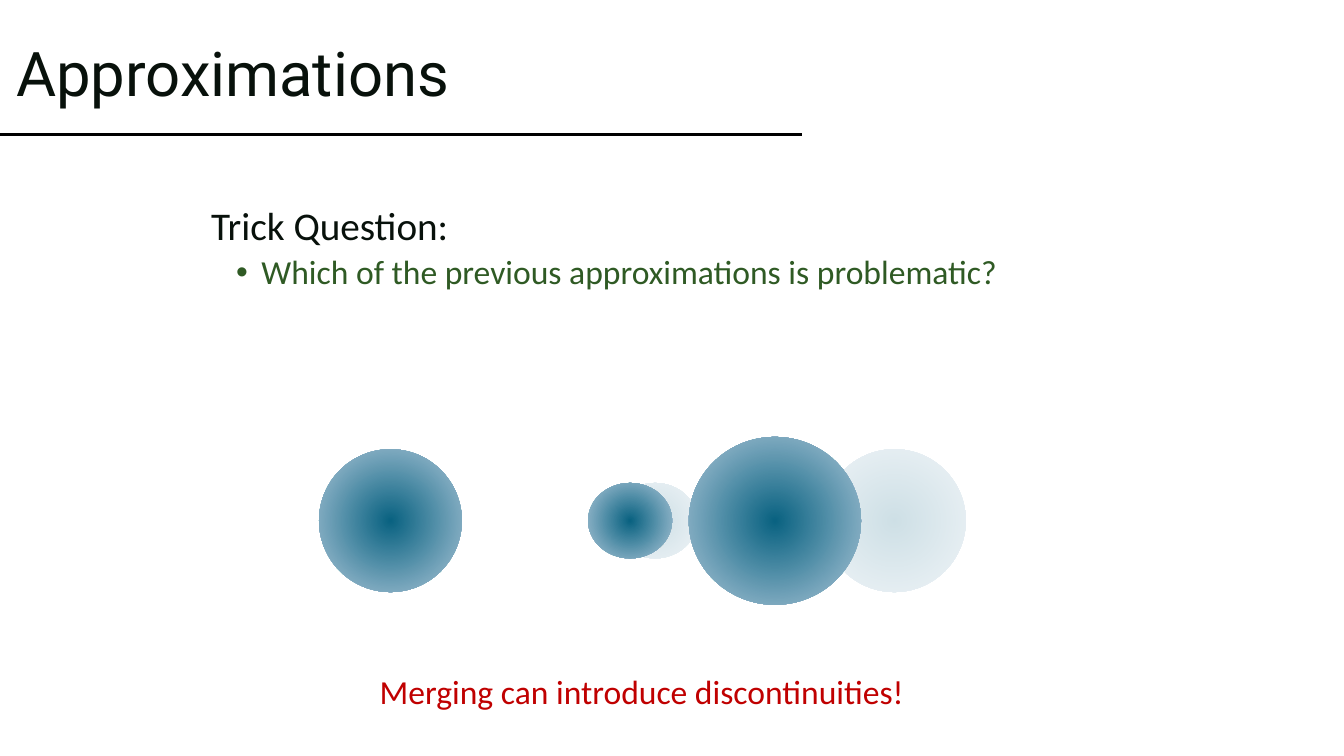
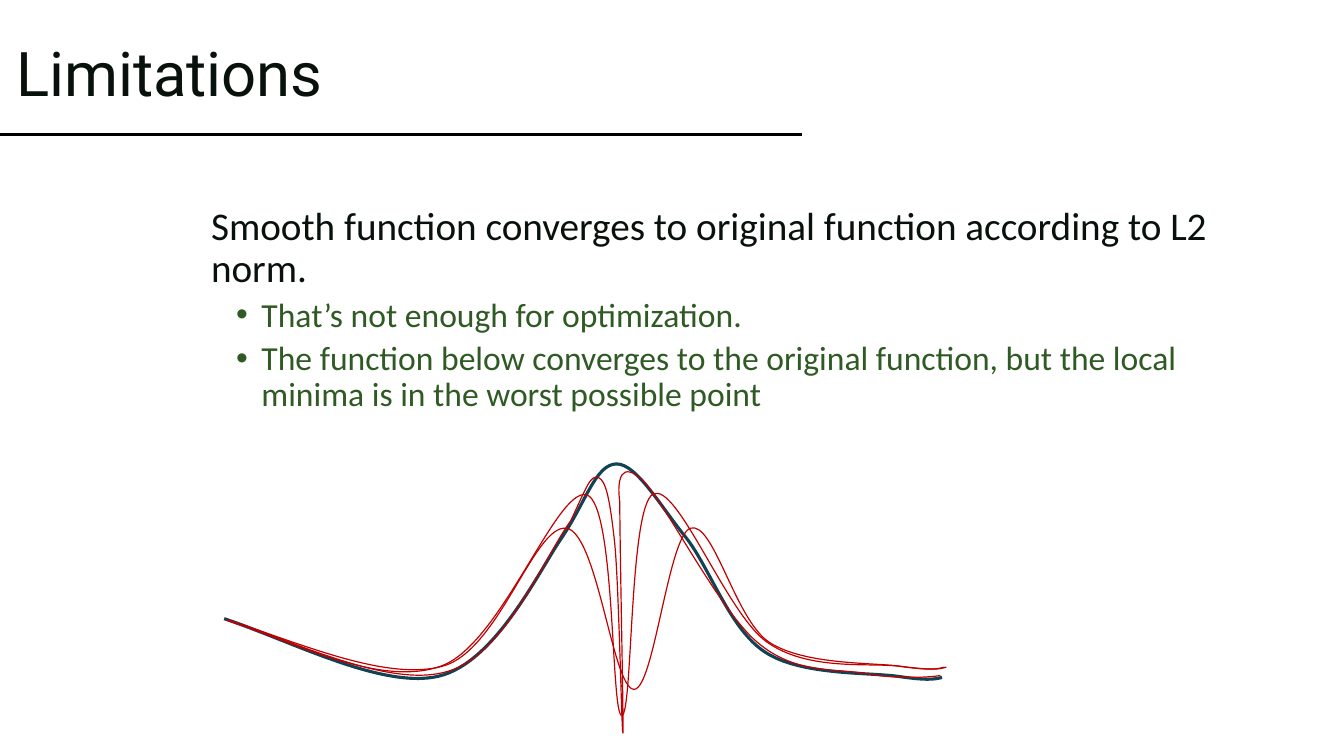
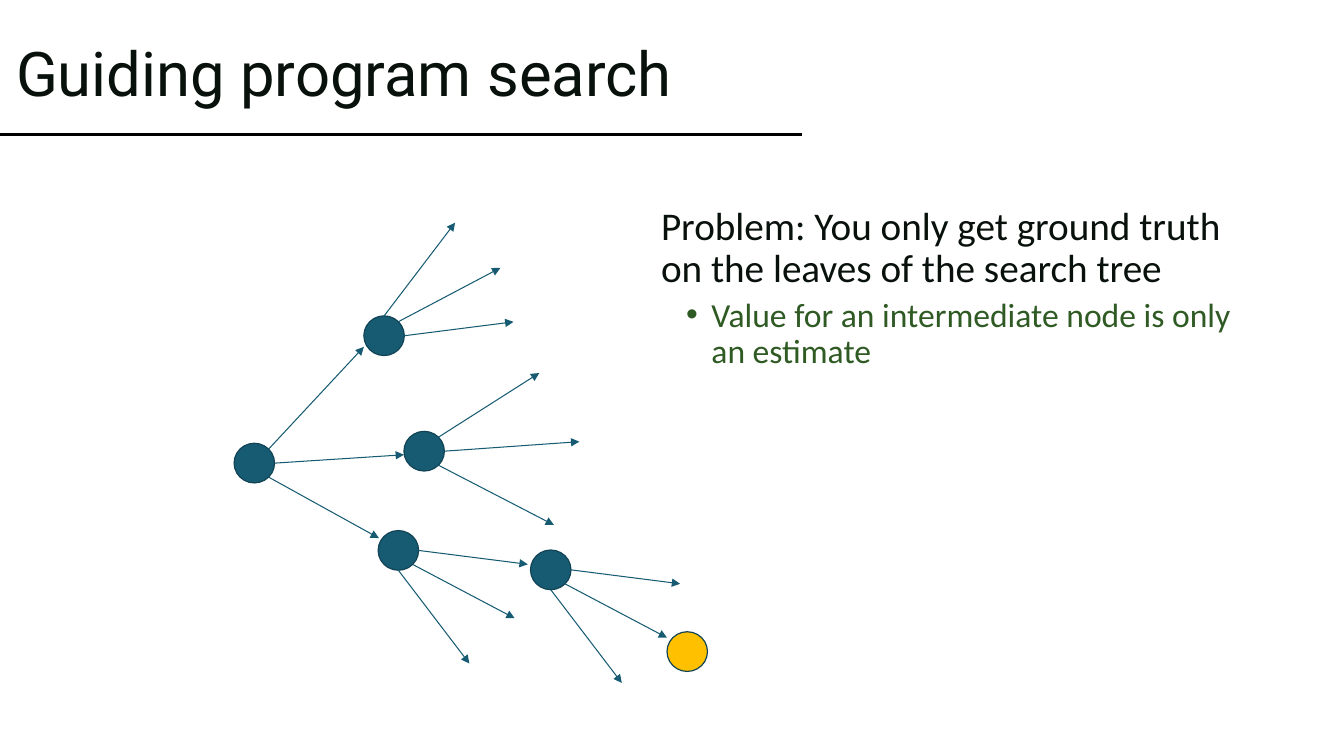
from math import cos, radians, sin

from lxml.etree import SubElement
from pptx import Presentation
from pptx.dml.color import RGBColor
from pptx.enum.shapes import MSO_CONNECTOR as Connector, MSO_SHAPE as Shape
from pptx.enum.text import MSO_ANCHOR as Anchor, MSO_AUTO_SIZE as AutoSize, PP_ALIGN as Align
from pptx.oxml.ns import qn
from pptx.util import Cm, Pt

COLORS = {
    "title": "08110B", "bullet": "2F5A24", "alert": "C00000", "rule": "000000",
    "veil": "FFFFFF", "glow_center": "096281", "glow_edge": "AEC7D9",
    "node": "175B73", "outline": "114355", "goal": "FFC000",
}
TITLE_FONT, BODY_FONT = "Roboto", "Calibri"
TITLE_ONLY = 5

NODE_WIDTH, NODE_HEIGHT = 1.02, 1.0

# Arrows of a node: start angle on its rim (clockwise), end relative to its centre
ROOT_ARROWS = [(-45, 2.76, -2.93), (0, 3.77, -0.21), (45, 3.14, 1.89)]
MIDDLE_ARROWS = [(-45, 2.9, -1.97), (0, 3.91, -0.24), (45, 3.27, 1.86)]
DOWN_ARROWS = [(0, 3.26, 0.35), (45, 2.93, 1.71), (90, 1.79, 2.85)]
UP_ARROWS = [(-angle, x, -y) for angle, x, y in DOWN_ARROWS]

# Bezier curves: a start point, then two control points and an end per segment
ORIGINAL_CURVE = [
    (5.65, 15.59),
    (7.34, 16.15), (9.63, 17.37), (11.05, 17.04),
    (12.47, 16.71), (13.56, 14.43), (14.15, 13.56),
    (14.76, 12.67), (15.01, 11.69), (15.54, 11.69),
    (16.05, 11.69), (16.66, 12.78), (17.3, 13.56),
    (17.91, 14.35), (18.39, 15.85), (19.28, 16.43),
    (20.17, 17.02), (21.87, 16.94), (22.61, 17.04),
    (23.34, 17.15), (23.55, 17.12), (23.74, 17.07),
]
SMOOTH_CURVES = [
    [
        (5.74, 15.62),
        (7.57, 16.21), (9.73, 17.17), (11.15, 16.79),
        (12.57, 16.41), (13.46, 13.21), (14.27, 13.31),
        (15.06, 13.41), (15.44, 17.37), (15.98, 17.37),
        (16.48, 17.37), (16.84, 13.51), (17.4, 13.31),
        (17.98, 13.11), (18.52, 15.6), (19.38, 16.18),
        (20.27, 16.76), (21.97, 16.69), (22.71, 16.79),
        (23.47, 16.89), (23.67, 16.87), (23.85, 16.81),
    ],
    [
        (5.69, 15.62),
        (7.49, 16.21), (9.58, 17.32), (11.1, 16.79),
        (12.62, 16.28), (14.02, 12.27), (14.78, 12.47),
        (15.52, 12.67), (15.39, 18.03), (15.67, 18.03),
        (15.95, 18.03), (15.85, 12.78), (16.46, 12.45),
        (17.07, 12.14), (18.31, 15.47), (19.33, 16.18),
        (20.37, 16.92), (21.92, 16.69), (22.66, 16.79),
        (23.39, 16.89), (23.6, 16.87), (23.8, 16.81),
    ],
    [
        (5.77, 15.65),
        (7.59, 16.23), (9.86, 17.35), (11.28, 16.92),
        (12.73, 16.51), (13.74, 14.0), (14.38, 13.13),
        (14.81, 12.22), (14.88, 11.96), (15.09, 12.04),
        (15.27, 12.12), (15.37, 12.57), (15.49, 13.67),
        (15.6, 14.73), (15.67, 18.62), (15.7, 18.47),
        (15.72, 18.29), (15.62, 13.77), (15.62, 12.65),
        (15.54, 12.09), (15.65, 11.56), (16.23, 12.14),
        (16.79, 12.73), (18.14, 15.39), (19.08, 16.18),
        (20.02, 16.99), (21.03, 16.84), (21.79, 16.97),
        (22.58, 17.12), (23.5, 17.07), (23.7, 17.02),
    ],
]


def rgb(name):
    return RGBColor.from_string(COLORS[name])


def place(shape, left, top, width, height):
    shape.left, shape.top = Cm(left), Cm(top)
    shape.width, shape.height = Cm(width), Cm(height)


def add_run(paragraph, text, font, size, color):
    run = paragraph.add_run()
    run.text = text
    run.font.name = font
    run.font.size = Pt(size)
    run.font.color.rgb = rgb(color)


def add_slide(presentation, title_text):
    slide = presentation.slides.add_slide(presentation.slide_layouts[TITLE_ONLY])
    title = slide.shapes.title
    place(title, 0.15, 0.08, 19.08, 3.68)
    frame = title.text_frame
    frame.vertical_anchor = Anchor.MIDDLE
    frame.auto_size = AutoSize.NONE
    paragraph = frame.paragraphs[0]
    paragraph.alignment = Align.LEFT
    paragraph.line_spacing = 0.9
    add_run(paragraph, title_text, TITLE_FONT, 44, "title")
    return slide


def add_line(slide, start, end, color, width, arrow=False):
    ends = [Cm(value) for value in (*start, *end)]
    line = slide.shapes.add_connector(Connector.STRAIGHT, *ends)
    line.line.color.rgb = rgb(color)
    line.line.width = Pt(width)
    properties = line.element.spPr
    if arrow:
        SubElement(properties.find(qn("a:ln")), qn("a:tailEnd"), type="triangle")
    SubElement(properties, qn("a:effectLst"))
    return line


def add_title_rule(slide):
    """Draw the line under the title and move it to the shared layout."""
    rule = add_line(slide, (0, 3.38), (20.22, 3.38), "rule", 2.25)
    rule.element.nvCxnSpPr.cNvPr.set("id", "20")
    slide.slide_layout.shapes.element.append(rule.element)


def add_body(slide, left, width, heading, bullets):
    box = slide.shapes.add_textbox(Cm(left), Cm(5.08), Cm(width), Cm(12.09))
    frame = box.text_frame
    frame.word_wrap = True
    paragraph = frame.paragraphs[0]
    paragraph.line_spacing = 0.9
    paragraph._p.get_or_add_pPr().set("marL", str(Cm(0.64)))
    add_run(paragraph, heading, BODY_FONT, 28, "title")
    for text in bullets:
        paragraph = frame.add_paragraph()
        paragraph.level = 1
        paragraph.line_spacing = 0.9
        paragraph.space_before = Pt(5)
        properties = paragraph._p.get_or_add_pPr()
        properties.set("marL", str(Cm(1.91)))
        properties.set("indent", str(-Cm(0.64)))
        SubElement(properties, qn("a:buFont"), typeface="Arial")
        SubElement(properties, qn("a:buChar"), char="•")
        add_run(paragraph, text, BODY_FONT, 24, "bullet")


def add_caption(slide, left, top, width, text):
    box = slide.shapes.add_textbox(Cm(left), Cm(top), Cm(width), Cm(1.27))
    frame = box.text_frame
    frame.word_wrap = False
    frame.auto_size = AutoSize.SHAPE_TO_FIT_TEXT
    add_run(frame.paragraphs[0], text, BODY_FONT, 24, "alert")


def add_plain_shape(slide, kind, left, top, width, height):
    shape = slide.shapes.add_shape(kind, Cm(left), Cm(top), Cm(width), Cm(height))
    shape.shadow.inherit = False
    shape.line.fill.background()
    return shape


def add_glow(slide, left, top, width, height):
    """Add an ellipse shaded from its centre outwards."""
    glow = add_plain_shape(slide, Shape.OVAL, left, top, width, height)
    glow.fill.gradient()
    for stop, color in zip(glow.fill.gradient_stops, ("glow_center", "glow_edge")):
        stop.color.rgb = rgb(color)
    gradient = glow.element.spPr.find(qn("a:gradFill"))
    gradient.remove(gradient.find(qn("a:lin")))
    radial = SubElement(gradient, qn("a:path"), path="circle")
    SubElement(radial, qn("a:fillToRect"), l="50000", t="50000", r="50000", b="50000")


def add_veil(slide, left, top, width, height):
    """Add a white, slightly transparent rectangle that fades what is behind it."""
    veil = add_plain_shape(slide, Shape.RECTANGLE, left, top, width, height)
    veil.fill.solid()
    veil.fill.fore_color.rgb = rgb("veil")
    color = next(veil.element.spPr.iter(qn("a:srgbClr")))
    SubElement(color, qn("a:alpha"), val="80000")


def bezier_points(points, steps=16):
    """Yield points along joined cubic Bezier segments, after the start point."""
    for first in range(0, len(points) - 1, 3):
        segment = points[first:first + 4]
        for step in range(1, steps + 1):
            t = step / steps
            u = 1 - t
            weights = (u ** 3, 3 * u * u * t, 3 * u * t * t, t ** 3)
            yield tuple(
                Cm(sum(weight * point[axis] for weight, point in zip(weights, segment)))
                for axis in (0, 1)
            )


def add_curve(slide, points, color, width):
    """Add an open Bezier curve in a box that fits the drawn line."""
    start_x, start_y = points[0]
    builder = slide.shapes.build_freeform(Cm(start_x), Cm(start_y))
    builder.add_line_segments(bezier_points(points), close=False)
    curve = builder.convert_to_shape()

    # The sampled outline sets the box; true curve segments take its place
    outline = next(curve.element.spPr.iter(qn("a:path")))
    for straight in outline.findall(qn("a:lnTo")):
        outline.remove(straight)
    for first in range(1, len(points), 3):
        segment = SubElement(outline, qn("a:cubicBezTo"))
        for x, y in points[first:first + 3]:
            SubElement(segment, qn("a:pt"), x=str(Cm(x) - curve.left), y=str(Cm(y) - curve.top))

    curve.shadow.inherit = False
    curve.fill.background()
    curve.line.color.rgb = rgb(color)
    curve.line.width = Pt(width)


def add_node(slide, x, y, arrows=(), color="node"):
    """Add a tree node centred at x, y with the arrows that leave it."""
    node = add_plain_shape(slide, Shape.OVAL, x - NODE_WIDTH / 2, y - NODE_HEIGHT / 2,
                           NODE_WIDTH, NODE_HEIGHT)
    node.fill.solid()
    node.fill.fore_color.rgb = rgb(color)
    node.line.color.rgb = rgb("outline")
    node.line.width = Pt(0.85)
    for angle, end_x, end_y in arrows:
        start = (x + NODE_WIDTH / 2 * cos(radians(angle)),
                 y + NODE_HEIGHT / 2 * sin(radians(angle)))
        add_line(slide, start, (x + end_x, y + end_y), "node", 0.75, arrow=True)


def build_approximations(presentation):
    slide = add_slide(presentation, "Approximations")
    add_title_rule(slide)
    add_body(slide, 4.43, 27.13, "Trick Question:",
             ["Which of the previous approximations is problematic?"])
    add_glow(slide, 8.04, 11.32, 3.6, 3.6)
    add_glow(slide, 15.45, 12.17, 2.12, 1.9)
    add_glow(slide, 20.74, 11.32, 3.6, 3.6)
    add_veil(slide, 14.82, 11.01, 10.37, 4.13)
    add_glow(slide, 17.36, 11.01, 4.34, 4.23)
    add_glow(slide, 14.82, 12.17, 2.12, 1.9)
    add_caption(slide, 9.32, 16.79, 13.87, "Merging can introduce discontinuities!")


def build_limitations(presentation):
    slide = add_slide(presentation, "Limitations")
    add_body(slide, 4.43, 27.13,
             "Smooth function converges to original function according to L2 norm.",
             ["That’s not enough for optimization.",
              "The function below converges to the original function, "
              "but the local minima is in the worst possible point"])
    add_curve(slide, ORIGINAL_CURVE, "outline", 2.25)
    for points in SMOOTH_CURVES:
        add_curve(slide, points, "alert", 0.85)


def build_program_search(presentation):
    slide = add_slide(presentation, "Guiding program search")
    add_body(slide, 15.77, 15.77,
             "Problem: You only get ground truth on the leaves of the search tree",
             ["Value for an intermediate node is only an estimate"])
    add_node(slide, 6.41, 11.67, ROOT_ARROWS)
    add_node(slide, 10.69, 11.37, MIDDLE_ARROWS)
    add_node(slide, 10.04, 13.87, DOWN_ARROWS)
    add_node(slide, 9.68, 8.46, UP_ARROWS)
    add_node(slide, 13.88, 14.36, DOWN_ARROWS)
    add_node(slide, 17.32, 16.42, color="goal")


def main():
    presentation = Presentation()
    presentation.slide_width, presentation.slide_height = Cm(33.87), Cm(19.05)
    build_approximations(presentation)
    build_limitations(presentation)
    build_program_search(presentation)
    presentation.save("out.pptx")


if __name__ == "__main__":
    main()
